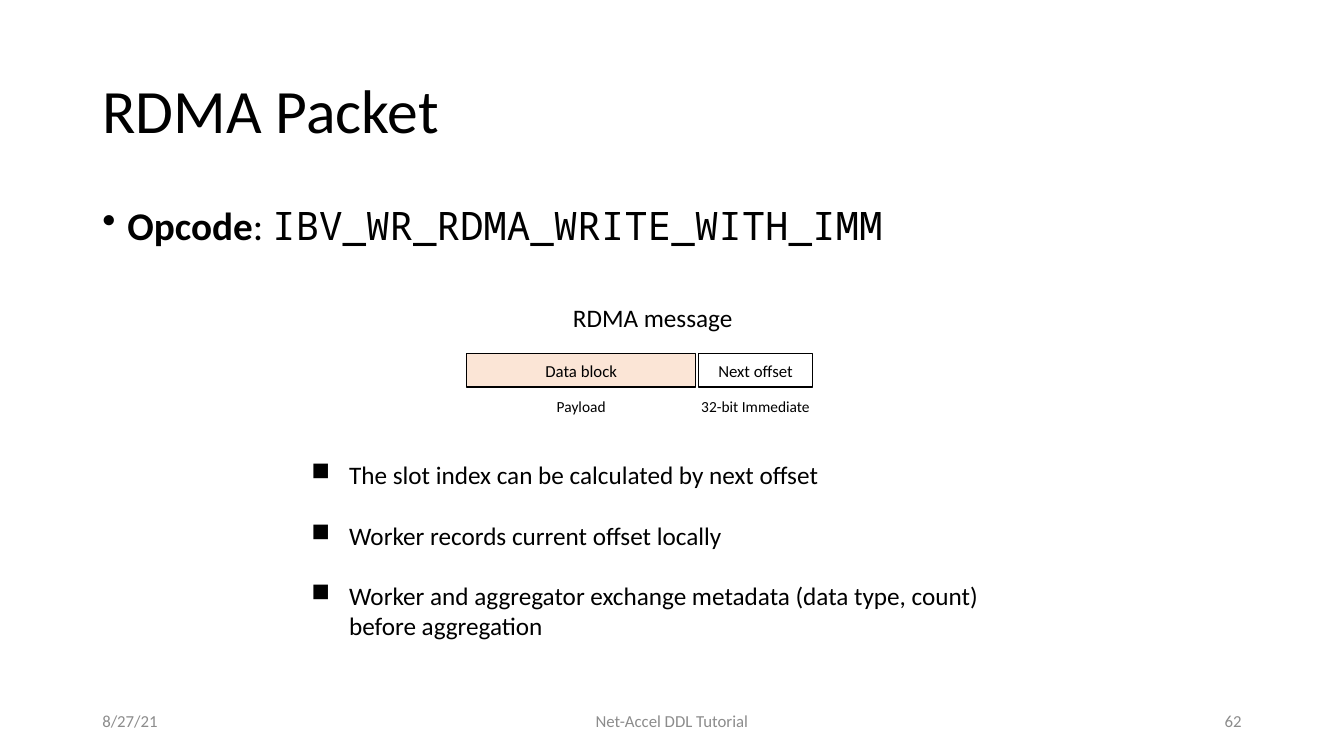
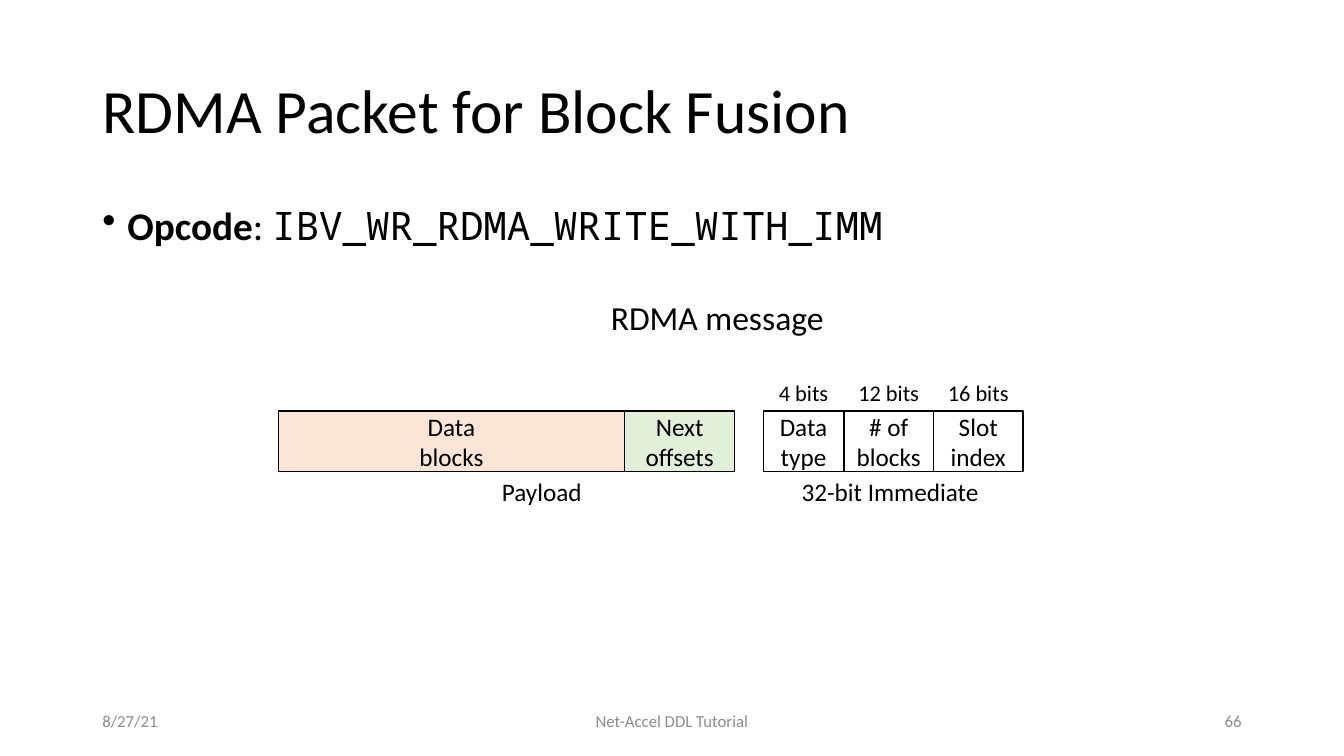
from dataclasses import dataclass

from lxml import etree
from pptx import Presentation
from pptx.dml.color import RGBColor
from pptx.enum import shapes, text
from pptx.oxml import ns
from pptx.util import Pt

LEFT, CENTER, RIGHT = text.PP_ALIGN.LEFT, text.PP_ALIGN.CENTER, text.PP_ALIGN.RIGHT
MIDDLE, TOP = text.MSO_ANCHOR.MIDDLE, text.MSO_ANCHOR.TOP


@dataclass(frozen=True)
class Theme:
    font: str = "Calibri"
    code_font: str = "Noto Sans Mono"
    ink: str = "000000"
    muted: str = "8C8C8C"
    data: str = "FBE5D6"
    offsets: str = "E2F0D9"
    plain: str = "FFFFFF"
    title: int = 44
    opcode: int = 28
    notes: int = 18
    footer: int = 12
    margin: float = 66
    content_width: float = 828


THEME = Theme()


def style_run(run, size, color=THEME.ink, font=THEME.font, bold=False):
    run.font.size = Pt(size)
    run.font.name = font
    run.font.bold = bold
    run.font.color.rgb = RGBColor.from_string(color)


def fill_text(frame, wording, size, color=THEME.ink, align=LEFT, anchor=TOP):
    frame.text = wording
    frame.vertical_anchor = anchor
    for paragraph in frame.paragraphs:
        paragraph.alignment = align
        for run in paragraph.runs:
            style_run(run, size, color)


def add_text(slide, box, wording, size, wrap=True, **style):
    frame = slide.shapes.add_textbox(*map(Pt, box)).text_frame
    frame.word_wrap = wrap
    fill_text(frame, wording, size, **style)
    return frame


def add_bullet(paragraph, mark, indent):
    properties = paragraph._p.get_or_add_pPr()
    properties.set("marL", str(Pt(indent)))
    properties.set("indent", str(-Pt(indent)))
    etree.SubElement(properties, ns.qn("a:buChar")).set("char", mark)


def add_caption(slide, wording, center, top, width, size):
    """One line of text centred on a point."""
    box = (center - width / 2, top, width, size * 1.2 + 7.2)
    add_text(slide, box, wording, size, wrap=False, align=CENTER)


def add_fields(slide, left, top, height, size, fields):
    """Packet fields side by side; returns their centres."""
    centers = []
    for wording, width, color in fields:
        field = slide.shapes.add_shape(
            shapes.MSO_SHAPE.RECTANGLE, Pt(left), Pt(top), Pt(width), Pt(height))
        field.shadow.inherit = False
        field.fill.solid()
        field.fill.fore_color.rgb = RGBColor.from_string(color)
        field.line.color.rgb = RGBColor.from_string(THEME.ink)
        field.line.width = Pt(1)
        field.text_frame.word_wrap = True
        fill_text(field.text_frame, wording, size, align=CENTER, anchor=MIDDLE)
        centers.append(left + width / 2)
        left += width
    return centers


def add_opcode(slide):
    frame = add_text(slide, (THEME.margin, 144, THEME.content_width, 342.7), "", THEME.opcode)
    line = frame.paragraphs[0]
    line.line_spacing = 0.9
    line.space_before = Pt(10)
    add_bullet(line, "•", 18)
    for wording, font, bold in (("Opcode", THEME.font, True),
                                (": ", THEME.font, False),
                                ("IBV_WR_RDMA_WRITE_WITH_IMM", THEME.code_font, False)):
        run = line.add_run()
        run.text = wording
        style_run(run, THEME.opcode, font=font, bold=bold)


def add_notes(slide, box, notes):
    frame = add_text(slide, box, "\n".join(notes), THEME.notes)
    for number, paragraph in enumerate(frame.paragraphs):
        paragraph.space_before = Pt(21.6 if number else 0)
        add_bullet(paragraph, "■", 27)


def add_slide(deck, title, number):
    """Slide with the shared title, opcode line and footer."""
    slide = deck.slides.add_slide(deck.slide_layouts[6])
    heading = add_text(slide, (THEME.margin, 28.8, THEME.content_width, 104.4),
                       title, THEME.title, anchor=MIDDLE)
    heading.paragraphs[0].line_spacing = 0.9
    add_opcode(slide)
    for left, width, wording, align in ((THEME.margin, 216, "8/27/21", LEFT),
                                        (318, 324, "Net-Accel DDL Tutorial", CENTER),
                                        (678, 216, str(number), RIGHT)):
        add_text(slide, (left, 500.5, width, 28.8), wording, THEME.footer,
                 color=THEME.muted, align=align, anchor=MIDDLE)
    return slide


def build_packet(deck):
    slide = add_slide(deck, "RDMA Packet", 62)
    add_caption(slide, "RDMA message", 466.2, 212.4, 129, 18)

    # Message fields and what carries them
    for left, field, carrier, width in (
            (333.4, ("Data block", 163.6, THEME.data), "Payload", 50.4),
            (499, ("Next offset", 81.4, THEME.plain), "32-bit Immediate", 92)):
        center, = add_fields(slide, left, 252.5, 24, 12, [field])
        add_caption(slide, carrier, center, 280.2, width, 11)

    add_notes(slide, (215.3, 324.7, 527, 138.2), (
        "The slot index can be calculated by next offset",
        "Worker records current offset locally",
        "Worker and aggregator exchange metadata (data type, count) before aggregation"))


def build_block_fusion(deck):
    slide = add_slide(deck, "RDMA Packet for Block Fusion", 66)
    add_caption(slide, "RDMA message", 512.3, 208.8, 176.4, 24)

    # Payload and immediate fields
    row = dict(top=293.6, height=43.2, size=18)
    add_fields(slide, 198.8, fields=(("Data\nblocks", 247.4, THEME.data),
                                     ("Next offsets", 78.6, THEME.offsets)), **row)
    centers = add_fields(slide, 545.2, fields=(("Data type", 57.6, THEME.plain),
                                               ("# of blocks", 64, THEME.plain),
                                               ("Slot index", 64, THEME.plain)), **row)

    # Field sizes above, carriers below
    for center, bits in zip(centers, (4, 12, 16)):
        add_caption(slide, f"{bits} bits", center, 267.1, 58, 16)
    add_caption(slide, "Payload", 387, 336.4, 80, 18)
    add_caption(slide, "32-bit Immediate", 635.8, 336.4, 147, 18)


def main():
    deck = Presentation()
    deck.slide_width, deck.slide_height = Pt(960), Pt(540)
    build_packet(deck)
    build_block_fusion(deck)
    deck.save("out.pptx")


if __name__ == "__main__":
    main()
